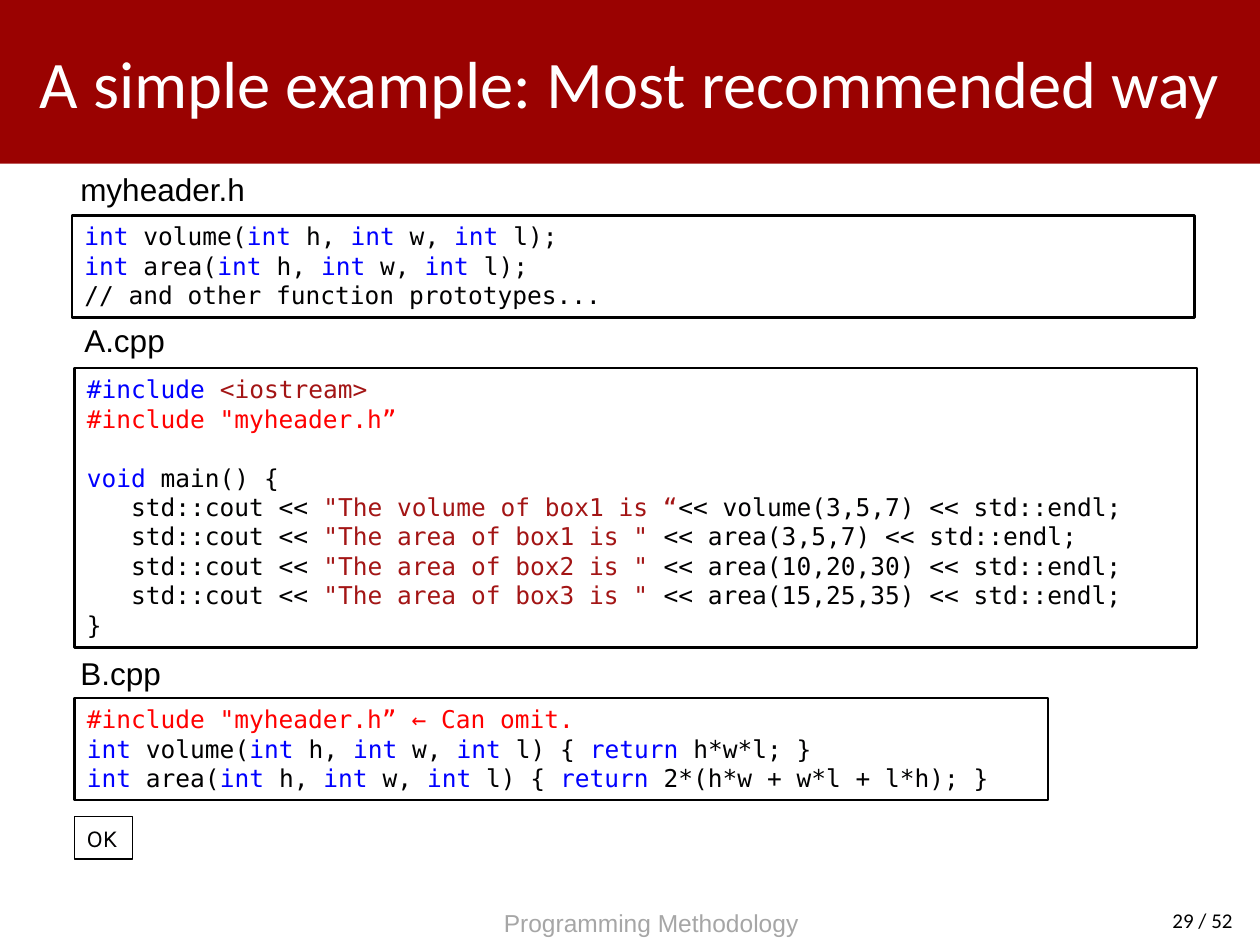
from dataclasses import dataclass
from typing import NamedTuple

from pptx import Presentation
from pptx.dml.color import RGBColor
from pptx.enum.shapes import MSO_SHAPE
from pptx.enum.text import MSO_ANCHOR, MSO_AUTO_SIZE, PP_ALIGN
from pptx.util import Cm, Pt

RECTANGLE = MSO_SHAPE.RECTANGLE
TOP, MIDDLE = MSO_ANCHOR.TOP, MSO_ANCHOR.MIDDLE
LEFT, CENTER, RIGHT = PP_ALIGN.LEFT, PP_ALIGN.CENTER, PP_ALIGN.RIGHT
NO_AUTOFIT = MSO_AUTO_SIZE.NONE
TITLE_ONLY = 5


@dataclass(frozen=True)
class Theme:
    banner: str = "9A0201"
    white: str = "FFFFFF"
    black: str = "000000"
    muted: str = "A6A6A6"
    plain: str = "010001"
    keyword: str = "0000FF"
    string: str = "A31515"
    highlight: str = "FF0000"
    text_font: str = "Arial"
    title_font: str = "Calibri"
    code_font: str = "DejaVu Sans Mono"
    verdict_font: str = "Karla"
    title_size: float = 38
    label_size: float = 18
    code_size: float = 14
    page_size: float = 12
    blank_line: float = 16.9


class Box(NamedTuple):
    left: float
    top: float
    width: float
    height: float

    def lengths(self):
        return [Cm(value) for value in self]


THEME = Theme()


def style_run(run, font, size, color):
    run.font.name = font
    run.font.size = Pt(size)
    run.font.color.rgb = RGBColor.from_string(color)


def write_text(shape, text, font, size, color, align=LEFT, anchor=TOP, wrap=True):
    frame = shape.text_frame
    frame.text = text
    frame.auto_size = NO_AUTOFIT
    frame.word_wrap = wrap
    frame.vertical_anchor = anchor
    paragraph = frame.paragraphs[0]
    paragraph.alignment = align
    style_run(paragraph.runs[0], font, size, color)


def add_text(slide, box, text, font, size, color, **layout):
    shape = slide.shapes.add_textbox(*box.lengths())
    write_text(shape, text, font, size, color, **layout)


def add_frame(slide, box, line_width):
    shape = slide.shapes.add_shape(RECTANGLE, *box.lengths())
    shape.shadow.inherit = False
    shape.fill.background()
    shape.line.color.rgb = RGBColor.from_string(THEME.black)
    shape.line.width = Pt(line_width)
    return shape


def function_line(name, *ending):
    line = [("keyword", "int "), ("plain", f"{name}(")]
    for parameter in ("h, ", "w, "):
        line += [("keyword", "int "), ("plain", parameter)]
    return line + [("keyword", "int "), *ending]


def definition(name, expression):
    return function_line(
        name, ("plain", "l) { "), ("keyword", "return "), ("plain", f"{expression}; }}")
    )


def print_line(message, call):
    return [
        ("plain", "   std::cout << "),
        ("string", message),
        ("plain", f"<< {call} << std::endl;"),
    ]


def add_code(slide, box, lines):
    frame = add_frame(slide, box, 1.5).text_frame
    frame.word_wrap = True
    frame.vertical_anchor = TOP
    paragraph = frame.paragraphs[0]
    gap = 0
    for index, line in enumerate(lines):
        if not line:
            gap = THEME.blank_line
            continue
        if index:
            paragraph = frame.add_paragraph()
        paragraph.alignment = LEFT
        paragraph.space_before = Pt(gap)
        gap = 0
        for role, text in line:
            run = paragraph.add_run()
            run.text = text
            style_run(run, THEME.code_font, THEME.code_size, getattr(THEME, role))


def add_file(slide, box, name, label_offset, lines):
    shift, rise = label_offset
    label_box = Box(box.left - shift, box.top - rise, 3.86, 1.02)
    add_text(slide, label_box, name, THEME.text_font, THEME.label_size,
             THEME.black, wrap=False)
    add_code(slide, box, lines)


def add_title(slide, box, text):
    title = slide.shapes.title
    title.left, title.top, title.width, title.height = box.lengths()
    title.fill.solid()
    title.fill.fore_color.rgb = RGBColor.from_string(THEME.banner)
    write_text(title, text, THEME.title_font, THEME.title_size, THEME.white,
               align=CENTER, anchor=MIDDLE)


def add_verdict(slide, box, text):
    write_text(add_frame(slide, box, 0.75), text, THEME.verdict_font,
               THEME.code_size, THEME.plain, wrap=False)


def add_footer(slide, box, course, page):
    course_box = Box(box.left + 9.09, box.top + 0.16, 8.08, 0.86)
    page_box = Box(box.left + 19.38, box.top, 5.72, box.height)
    add_text(slide, course_box, course, THEME.text_font, THEME.code_size,
             THEME.muted, align=CENTER)
    add_text(slide, page_box, page, THEME.title_font, THEME.page_size,
             THEME.black, align=RIGHT, anchor=MIDDLE)


def main():
    presentation = Presentation()
    presentation.slide_width, presentation.slide_height = Cm(25.4), Cm(19.05)
    slide = presentation.slides.add_slide(presentation.slide_layouts[TITLE_ONLY])

    add_title(slide, Box(0, 0, 25.4, 3.3), "A simple example: Most recommended way")
    add_file(slide, Box(1.45, 4.34, 22.63, 2.06), "myheader.h", (0.08, 1.04), [
        function_line("volume", ("plain", "l);")),
        function_line("area", ("plain", "l);")),
        [("plain", "// and other function prototypes...")],
    ])
    add_file(slide, Box(1.5, 7.42, 22.63, 5.64), "A.cpp", (0.05, 1.07), [
        [("keyword", "#include "), ("string", "<iostream>")],
        [("highlight", '#include "myheader.h”')],
        [],
        [("keyword", "void "), ("plain", "main() {")],
        print_line('"The volume of box1 is “', "volume(3,5,7)"),
        print_line('"The area of box1 is " ', "area(3,5,7)"),
        print_line('"The area of box2 is " ', "area(10,20,30)"),
        print_line('"The area of box3 is " ', "area(15,25,35)"),
        [("plain", "}")],
    ])
    add_file(slide, Box(1.5, 14.07, 19.63, 2.06), "B.cpp", (0.13, 1.01), [
        [("highlight", '#include "myheader.h” ← Can omit.')],
        definition("volume", "h*w*l"),
        definition("area", "2*(h*w + w*l + l*h)"),
    ])
    add_verdict(slide, Box(1.5, 16.46, 1.17, 0.86), "OK")
    add_footer(slide, Box(0, 18.03, 25.4, 1.02), "Programming Methodology", "29 / 52")

    presentation.save("out.pptx")


if __name__ == "__main__":
    main()
